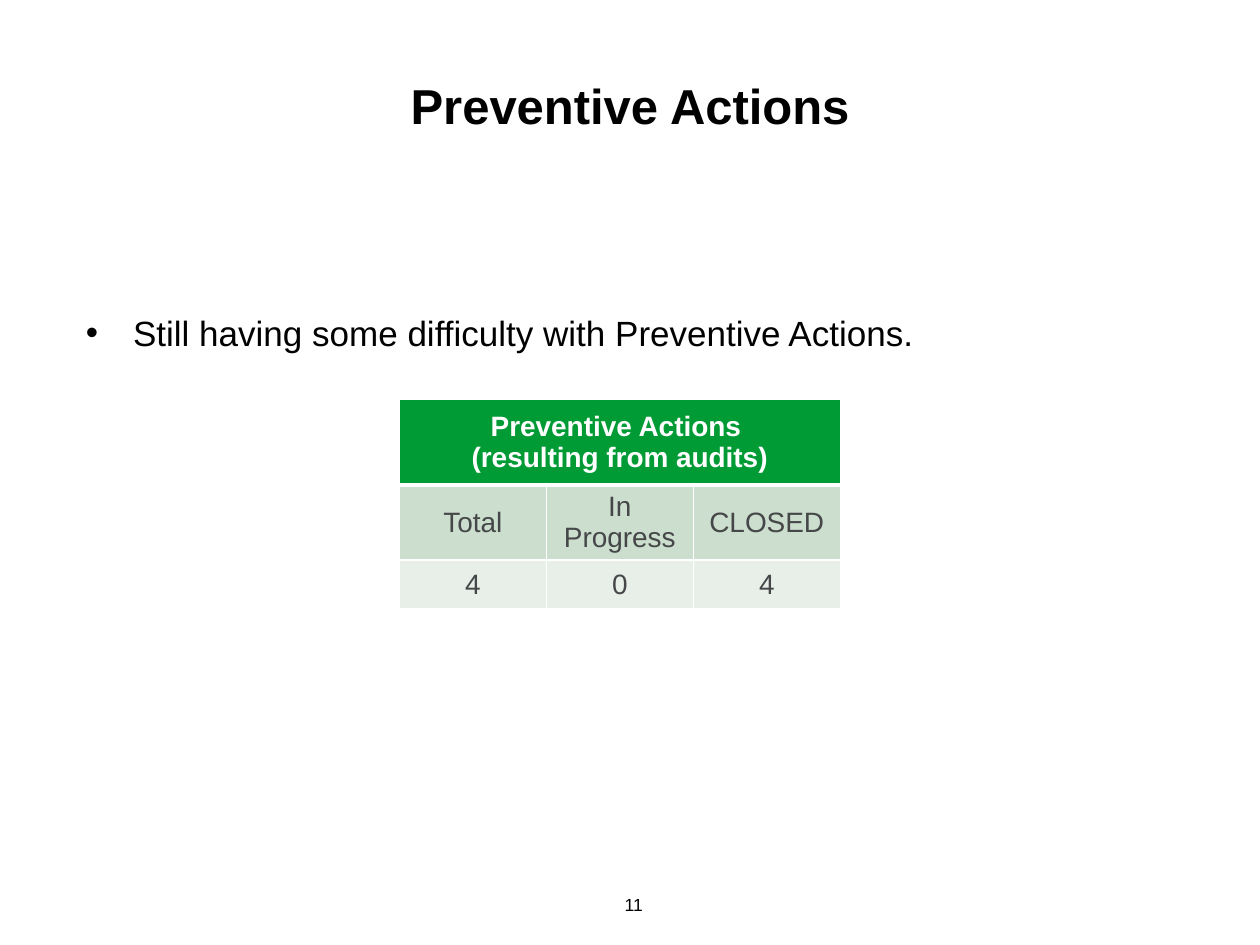
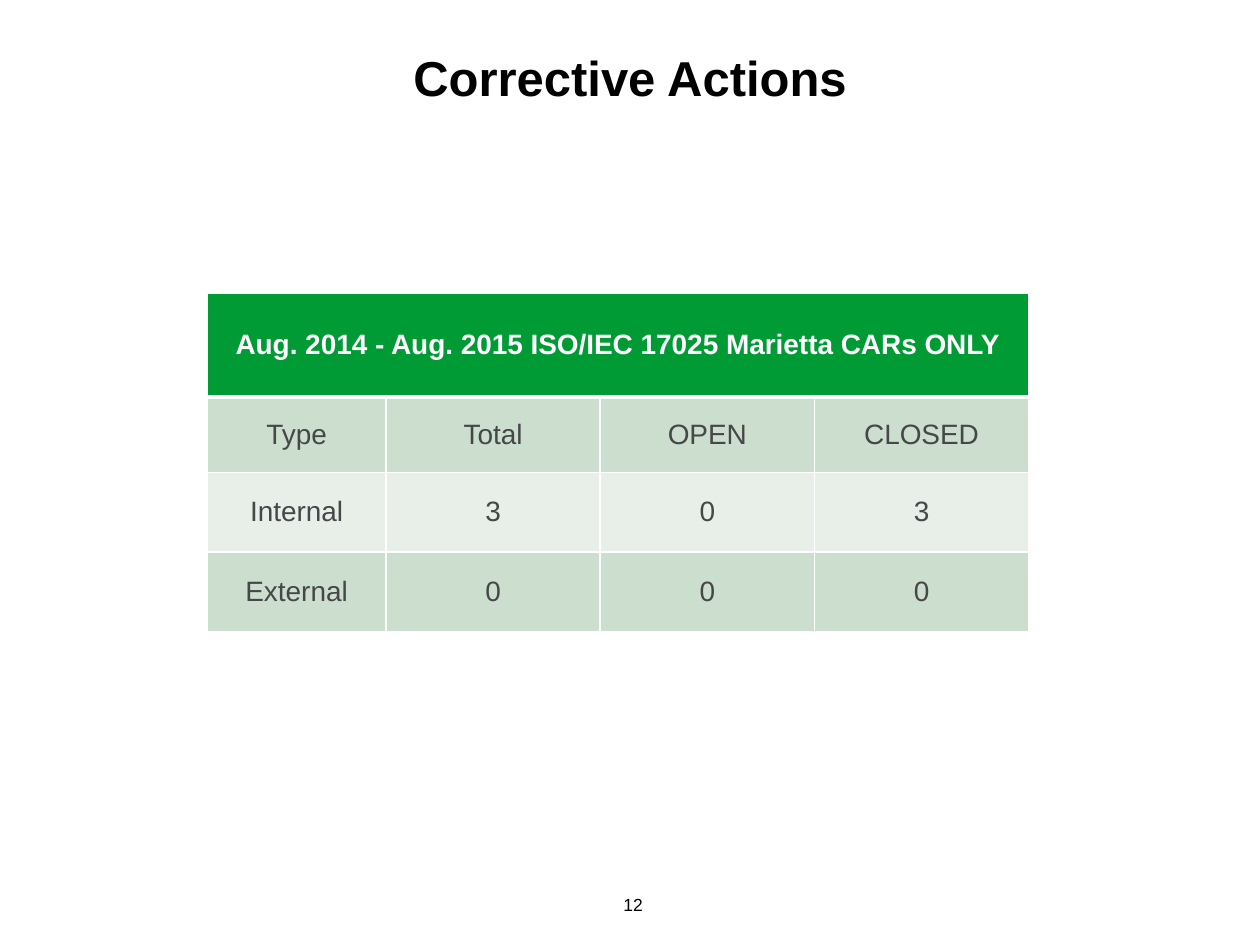
from lxml import etree
from pptx import Presentation
from pptx.dml.color import RGBColor
from pptx.enum.text import MSO_ANCHOR, MSO_AUTO_SIZE, PP_ALIGN
from pptx.oxml.ns import qn
from pptx.util import Pt

CENTER, LEFT, RIGHT = PP_ALIGN.CENTER, PP_ALIGN.LEFT, PP_ALIGN.RIGHT
TOP, MIDDLE = MSO_ANCHOR.TOP, MSO_ANCHOR.MIDDLE
NO_FIT = MSO_AUTO_SIZE.NONE

COLORS = {"text": "000000", "white": "FFFFFF", "header": "019B35",
          "cell": "464749", "band_dark": "CCDECE", "band_light": "E7EFE8"}
FONTS = {
    "title": {"size": Pt(28), "bold": True},
    "body": {"size": Pt(20), "bold": False},
    "number": {"size": Pt(10), "bold": False},
    "header": {"size": Pt(16), "bold": True},
    "cell": {"size": Pt(16), "bold": False},
}


class Deck:
    """Holds the shared style and the slide being built."""

    def __init__(self):
        """Start a 10 by 7.5 inch presentation."""
        self.prs = Presentation()
        self.prs.slide_width, self.prs.slide_height = Pt(720), Pt(540)
        self.s = None

    def slide(self, layout, number):
        """Add a slide with its page number."""
        self.s = self.prs.slides.add_slide(self.prs.slide_layouts[layout])
        sp = self.s.shapes.add_textbox(0, 0, 0, 0)
        self.place(sp, (324, 502.5, 50.4, 28.8))
        self.fill_frame(sp.text_frame, str(number), "number", RIGHT, MIDDLE)

    def place(self, sp, box):
        """Move and size a shape from a box in points."""
        for name, value in zip(("left", "top", "width", "height"), box):
            setattr(sp, name, Pt(value))

    def fill_frame(self, tf, text, style, align, anchor):
        """Fill a text frame, one paragraph a line."""
        tf.word_wrap, tf.auto_size, tf.vertical_anchor = True, NO_FIT, anchor
        self.paragraphs(tf, text, style, align, "text")

    def paragraphs(self, tf, text, style, align, color):
        """Set the lines of a text frame and format them."""
        tf.text = text
        for p in tf.paragraphs:
            p.alignment, p.space_before = align, Pt(0)
            for r in p.runs:
                for name, value in {"name": "Arial", **FONTS[style]}.items():
                    setattr(r.font, name, value)
                r.font.color.rgb = RGBColor.from_string(COLORS[color])

    def title(self, text, top, height):
        """Fill the title placeholder."""
        sp = self.s.shapes.title
        self.place(sp, (0, top, 720, height))
        self.fill_frame(sp.text_frame, text, "title", CENTER, TOP)

    def bullets(self, text, box):
        """Fill the body placeholder with a bulleted list."""
        sp = self.s.placeholders[1]
        self.place(sp, box)
        self.fill_frame(sp.text_frame, text, "body", LEFT, TOP)
        for p in sp.text_frame.paragraphs:
            pPr = p._p.get_or_add_pPr()
            pPr.set("marL", str(Pt(27)))
            pPr.set("indent", str(-Pt(27)))
            etree.SubElement(pPr, qn("a:buChar"), char="•")

    def borders(self, cell, top, bottom):
        """Draw white borders round a cell."""
        tcPr = cell._tc.get_or_add_tcPr()
        for side, width in (("L", 1), ("R", 1), ("T", top), ("B", bottom)):
            ln = etree.SubElement(tcPr, qn(f"a:ln{side}"), w=str(Pt(width)))
            fill = etree.SubElement(ln, qn("a:solidFill"))
            etree.SubElement(fill, qn("a:srgbClr"), val=COLORS["white"])

    def table(self, left, top, widths, heights, header, rows):
        """Add a banded table under one merged header."""
        grid = [[header] + [""] * (len(widths) - 1)] + rows
        frame = self.s.shapes.add_table(
            len(grid), len(widths), Pt(left), Pt(top), Pt(sum(widths)), Pt(sum(heights)))
        table = frame.table
        for col, width in zip(table.columns, widths):
            col.width = Pt(width)
        for row, height in zip(table.rows, heights):
            row.height = Pt(height)
        for i, texts in enumerate(grid):
            style, color, fill = (
                ("header", "white", "header") if i == 0 else
                ("cell", "cell", "band_dark" if i % 2 else "band_light"))
            for cell, text in zip(table.rows[i].cells, texts):
                self.borders(cell, 3 if i == 1 else 1, 3 if i == 0 else 1)
                cell.fill.solid()
                cell.fill.fore_color.rgb = RGBColor.from_string(COLORS[fill])
                cell.vertical_anchor = MIDDLE
                self.paragraphs(cell.text_frame, text, style, CENTER, color)
        table.cell(0, 0).merge(table.cell(0, len(widths) - 1))


def main():
    """Build both slides and save them."""
    deck = Deck()

    deck.slide(1, 11)
    deck.title("Preventive Actions", 39.6, 62.6)
    deck.bullets("Still having some difficulty with Preventive Actions.",
                 (41.8, 174.2, 648, 77.8))
    deck.table(228.2, 228.2, [84] * 3, [49, 42, 28],
               "Preventive Actions \n(resulting from audits)",
               [["Total", "In Progress", "CLOSED"], ["4", "0", "4"]])

    deck.slide(5, 12)
    deck.title("Corrective Actions", 23.8, 90)
    deck.table(118.4, 167.8, [102.2] + [122.4] * 3, [59, 43.2, 45.5, 45.5],
               "Aug. 2014 - Aug. 2015 ISO/IEC 17025 Marietta CARs ONLY",
               [["Type", "Total", "OPEN", "CLOSED"],
                ["Internal", "3", "0", "3"],
                ["External", "0", "0", "0"]])

    deck.prs.save("out.pptx")


if __name__ == "__main__":
    main()
